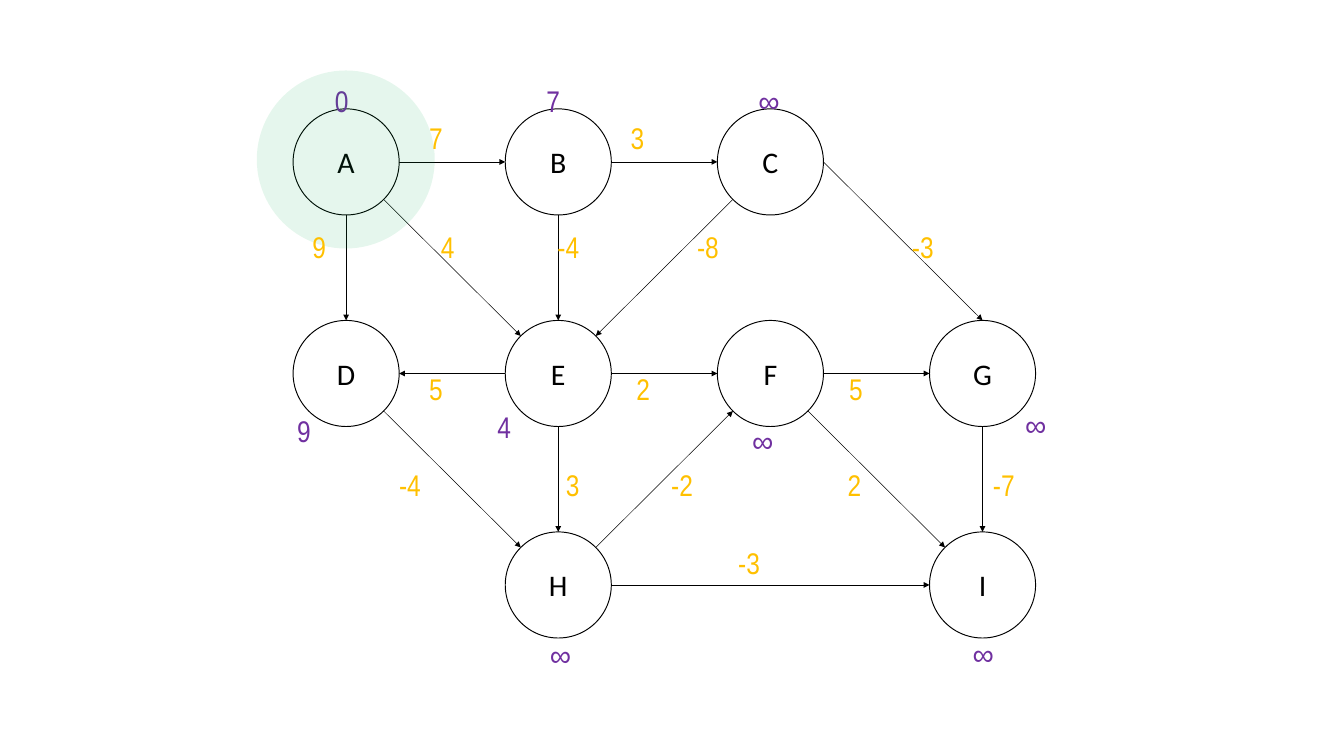
"""Draws a weighted directed graph with the distances from node A."""
from math import cos, radians, sin

from lxml import etree
from pptx import Presentation
from pptx.dml.color import RGBColor
from pptx.enum.shapes import MSO_CONNECTOR, MSO_SHAPE
from pptx.enum.text import MSO_ANCHOR, MSO_AUTO_SIZE, PP_ALIGN
from pptx.oxml.ns import qn
from pptx.util import Inches, Pt

OVAL = MSO_SHAPE.OVAL
STRAIGHT = MSO_CONNECTOR.STRAIGHT
MIDDLE = MSO_ANCHOR.MIDDLE
CENTER = PP_ALIGN.CENTER
LEFT = PP_ALIGN.LEFT
FIT = MSO_AUTO_SIZE.SHAPE_TO_FIT_TEXT

TOP, TOP_LEFT, WEST, LOW_LEFT, LOW, LOW_RIGHT, EAST, TOP_RIGHT = range(8)
SIZE, STEP_X, STEP_Y = 1.52, 3.04, 3.03
BLACK, WHITE, GREEN = "000000", "FFFFFF", "00B050"
PURPLE, AMBER = "7030A0", "FFC000"

NODES = [
    ("A", 0, 0, "0", 4.7, 1.14),
    ("B", 1, 0, "7", 7.73, 1.14),
    ("C", 2, 0, "∞", 10.77, 1.14),
    ("D", 0, 1, "9", 4.16, 5.86),
    ("E", 1, 1, "4", 7.03, 5.81),
    ("F", 2, 1, "∞", 10.68, 6),
    ("G", 3, 1, "∞", 14.59, 5.77),
    ("H", 1, 2, "∞", 7.78, 9.07),
    ("I", 3, 2, "∞", 13.84, 9.05),
]
EDGES = [
    ("A", LOW, "D", TOP, "9", 4.38, 3.23),
    ("A", LOW_RIGHT, "E", TOP_LEFT, "4", 6.22, 3.23),
    ("A", EAST, "B", WEST, "7", 6.05, 1.67),
    ("B", EAST, "C", WEST, "3", 8.94, 1.67),
    ("B", LOW, "E", TOP, "-4", 7.89, 3.23),
    ("C", LOW_LEFT, "E", TOP_RIGHT, "-8", 9.89, 3.23),
    ("C", EAST, "G", TOP, "-3", 12.97, 3.23),
    ("E", WEST, "D", EAST, "5", 6.05, 5.26),
    ("E", EAST, "F", WEST, "2", 9.02, 5.26),
    ("F", EAST, "G", WEST, "5", 12.07, 5.26),
    ("D", LOW_RIGHT, "H", TOP_LEFT, "-4", 5.62, 6.64),
    ("E", LOW, "H", TOP, "3", 8.01, 6.64),
    ("H", TOP_RIGHT, "F", LOW_LEFT, "-2", 9.52, 6.64),
    ("F", LOW_RIGHT, "I", TOP_LEFT, "2", 12.05, 6.64),
    ("G", LOW, "I", TOP, "-7", 14.13, 6.64),
    ("H", EAST, "I", WEST, "-3", 10.48, 7.76),
]


def color(code):
    return RGBColor.from_string(code)


def write(frame, text, font="Arial Narrow", size=30.8, tint=BLACK, align=LEFT):
    para = frame.paragraphs[0]
    para.alignment = align
    run = para.add_run()
    run.text = text
    run.font.name = font
    run.font.size = Pt(size)
    run.font.color.rgb = color(tint)


def rim(node, site):
    """Return the point of a circle at one of its eight joints."""
    turn = radians(90 + 45 * site)
    half = node.width / 2
    x = node.left + half + half * cos(turn)
    y = node.top + half - half * sin(turn)
    return round(x), round(y)


class Graph:
    """Draws the parts of the graph on one slide."""

    def __init__(self, slide):
        self.shapes = slide.shapes
        self.nodes = {}

    def disc(self, x, y, size, fill):
        disc = self.shapes.add_shape(OVAL, Inches(x), Inches(y), Inches(size), Inches(size))
        disc.shadow.inherit = False
        disc.fill.solid()
        disc.fill.fore_color.rgb = color(fill)
        return disc

    def node(self, name, col, row):
        disc = self.disc(4.2 + STEP_X * col, 1.56 + STEP_Y * row, SIZE, WHITE)
        disc.line.color.rgb = color(BLACK)
        disc.line.width = Pt(1)
        frame = disc.text_frame
        frame.margin_left = frame.margin_right = 0
        frame.margin_top = frame.margin_bottom = 0
        frame.vertical_anchor = MIDDLE
        write(frame, name, font="Calibri", align=CENTER)
        self.nodes[name] = disc

    def halo(self, x, y, size):
        disc = self.disc(x, y, size, GREEN)
        disc.line.fill.background()
        tone = disc.fill._xPr.find(qn("a:solidFill"))[0]
        etree.SubElement(tone, qn("a:alpha"), val="10000")

    def label(self, text, x, y, tint):
        wide = 0.51 if text == "∞" else 0.28 + 0.12 * len(text)
        box = self.shapes.add_textbox(Inches(x), Inches(y), Inches(wide), Inches(0.62))
        frame = box.text_frame
        frame.word_wrap = False
        frame.auto_size = FIT
        write(frame, text, tint=tint)

    def edge(self, start, out, end, into):
        ends = (self.nodes[start], out), (self.nodes[end], into)
        line = self.shapes.add_connector(STRAIGHT, *rim(*ends[0]), *rim(*ends[1]))
        line.line.color.rgb = color(BLACK)
        line.line.width = Pt(0.5)
        etree.SubElement(line.line._get_or_add_ln(), qn("a:tailEnd"), type="triangle")
        etree.SubElement(line._element.spPr, qn("a:effectLst"))
        joint = line._element.nvCxnSpPr.cNvCxnSpPr
        for tag, (node, site) in zip(("a:stCxn", "a:endCxn"), ends):
            etree.SubElement(joint, qn(tag), id=str(node.shape_id), idx=str(site))


def main():
    deck = Presentation()
    deck.slide_width, deck.slide_height = Inches(19.26), Inches(10.83)
    graph = Graph(deck.slides.add_slide(deck.slide_layouts[6]))
    for name, col, row, *_ in NODES:
        graph.node(name, col, row)
    for *_, cost, x, y in NODES:
        graph.label(cost, x, y, PURPLE)
    for start, out, end, into, *_ in EDGES:
        graph.edge(start, out, end, into)
    graph.halo(3.68, 1.01, 2.55)
    for *_, cost, x, y in EDGES:
        graph.label(cost, x, y, AMBER)
    deck.save("out.pptx")


if __name__ == "__main__":
    main()
